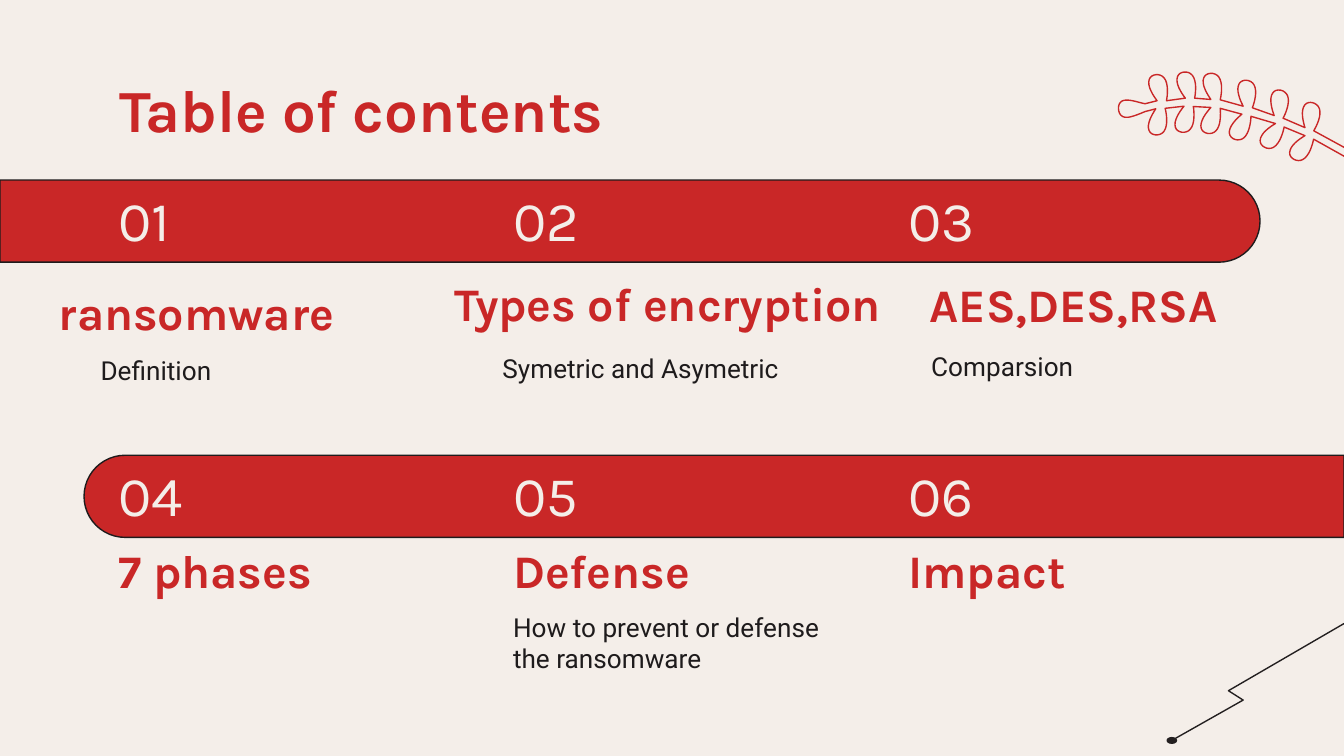
from math import cos, radians, sin

from pptx import Presentation
from pptx.dml.color import RGBColor
from pptx.enum.shapes import MSO_SHAPE
from pptx.enum.text import MSO_ANCHOR
from pptx.util import Pt

CREAM, RED, BLACK, INK = "F4EEE9", "C92727", "1E1B1C", "231F20"
COLS = (56.2, 267.8, 479.5)
BARS = ((0, 96.5, 90), (45, 243.9, 270))
BAR = 675, 44

FLAT = {"margin_top": 0, "margin_bottom": 0, "vertical_anchor": MSO_ANCHOR.BOTTOM}
PAD = {"margin_top": Pt(7.2), "margin_bottom": Pt(7.2)}
MID = PAD | {"vertical_anchor": MSO_ANCHOR.MIDDLE}
STYLES = {
    "title": (MID, {"name": "Karla", "size": Pt(32), "bold": True}, RED),
    "number": (FLAT, {"name": "Karla", "size": Pt(30)}, CREAM),
    "head": (FLAT, {"name": "Karla", "size": Pt(25), "bold": True}, RED),
    "note": (PAD, {"name": "Roboto", "size": Pt(14)}, BLACK),
}
TEXTS = (
    ("title", "Table of contents", 56.9, 35.3, 607, 45.4),
    ("head", "ransomware", 24.5, 151.9, 184.3, 30.2),
    ("head", "Types of encryption", 236.2, 145.4, 247, 31.7),
    ("head", "AES,DES,RSA", 491, 147.6, 184.3, 30.2),
    ("head", "7 phases", COLS[0], 290.2, 184.3, 30.2),
    ("head", "Defense", COLS[1], 290.2, 184.3, 30.2),
    ("head", "Impact", COLS[2], 290.2, 184.3, 30.2),
    ("note", "Definition", 46.8, 182.9, 184.3, 38.2),
    ("note", "Symetric and Asymetric", 262.1, 181.4, 184.3, 38.2),
    ("note", "Comparsion", 491.8, 180.7, 184.3, 38.2),
    ("note", "How to prevent or defense the ransomware", COLS[1], 320.4, 184.3, 38.2),
)

LEAF = ((0, 0), (-2.2, -2.9), (-5.5, -8), (-4.2, -11.5), (-3.2, -14.4),
        (1.6, -15), (3.8, -12.2), (6.2, -9.2), (5.6, -3), (5, 0))
UPPER = ((619.9, 54, 0), (635, 52.6, 0), (648.7, 53.3, 2),
         (666, 56.9, 10), (682.6, 61.9, 17), (699.1, 68.4, 20))
LOWER = ((699.1, 72.7, 22), (683.3, 66.2, 22), (665.3, 61.2, 13),
         (648.7, 57.6, 5), (634.3, 56.9, 2), (619.2, 58.3, -3))
STEM = ((725.8, 82.1), (726.5, 85), (723.6, 85.7))
TIP = ((613.4, 59.8), (607, 62.5), (604, 63.5), (601.5, 62.5), (598.5, 61),
       (598.5, 55.5), (601, 54.2), (604, 52.5), (610, 55), (613.4, 55.6))
BOLT = ((720, 334.1), (658.1, 370.1), (666, 375.1), (627.8, 396.7))


def tint(code):
    """Turn a hex string into a colour."""
    return RGBColor.from_string(code)


def paint(shape, fill, edge):
    """Set fill, outline and shadow of a shape."""
    shape.shadow.inherit = False
    if fill:
        shape.fill.solid()
        shape.fill.fore_color.rgb = tint(fill)
    else:
        shape.fill.background()
    shape.line.color.rgb = tint(edge)
    shape.line.width = Pt(0.75)


def write(slide, style, words, *box):
    """Add a text box in a named style."""
    frame = slide.shapes.add_textbox(*map(Pt, box)).text_frame
    look, face, code = STYLES[style]
    frame.word_wrap = True
    run = frame.paragraphs[0].add_run()
    run.text = words
    for item, values in ((frame, look), (run.font, face)):
        for key, value in values.items():
            setattr(item, key, value)
    run.font.color.rgb = tint(code)


def add_bar(slide, left, top, turn):
    """Add a bar rounded at one end, turned onto its side."""
    long, thick = BAR
    shift = (long - thick) / 2
    box = left + shift, top - shift, thick, long
    bar = slide.shapes.add_shape(MSO_SHAPE.ROUND_2_SAME_RECTANGLE, *map(Pt, box))
    bar.rotation = turn
    bar.adjustments[0], bar.adjustments[1] = 0.5, 0
    paint(bar, RED, BLACK)


def trace(slide, points, fill, edge, close):
    """Add a freeform through the points."""
    dots = [(Pt(x), Pt(y)) for x, y in points]
    pen = slide.shapes.build_freeform(*dots[0])
    pen.add_line_segments(dots[1:], close=close)
    paint(pen.convert_to_shape(), fill, edge)


def curve(knots, steps=8):
    """Sample a chain of cubic curves."""
    dots = [knots[0]]
    for i in range(0, len(knots) - 1, 3):
        for n in range(1, steps + 1):
            t = n / steps
            rates = (1 - t) ** 3, 3 * t * (1 - t) ** 2, 3 * t * t * (1 - t), t ** 3
            dots.append(tuple(sum(r * k[axis] for r, k in zip(rates, knots[i:i + 4]))
                              for axis in (0, 1)))
    return dots


def leaf(left, top, turn, flip=1):
    """Place one leaf, turned about its base."""
    c, s = cos(radians(turn)), sin(radians(turn))
    return [(left + x * c - y * flip * s, top + x * s + y * flip * c)
            for x, y in curve(LEAF)]


def add_twig(slide):
    """Draw the leafy twig as one outline."""
    dots = [dot for base in UPPER for dot in leaf(*base)]
    dots += STEM
    dots += [dot for base in LOWER for dot in reversed(leaf(*base, flip=-1))]
    trace(slide, dots + curve(TIP), CREAM, RED, True)


def add_bolt(slide):
    """Draw the zigzag line and its end dot."""
    trace(slide, BOLT, None, INK, False)
    dot = slide.shapes.add_shape(MSO_SHAPE.OVAL, *map(Pt, (625.3, 395.2, 5, 3)))
    paint(dot, INK, INK)


def main():
    """Build and save the slide."""
    deck = Presentation()
    deck.slide_width, deck.slide_height = Pt(720), Pt(405)
    slide = deck.slides.add_slide(deck.slide_layouts[6])
    slide.background.fill.solid()
    slide.background.fill.fore_color.rgb = tint(CREAM)
    add_twig(slide)
    add_bolt(slide)
    for row, (left, top, turn) in enumerate(BARS):
        add_bar(slide, left, top, turn)
        for col, x in enumerate(COLS):
            write(slide, "number", f"{row * 3 + col + 1:02}", x, top + 4.3, 100, 34.6)
    for item in TEXTS:
        write(slide, *item)
    deck.save("out.pptx")


if __name__ == "__main__":
    main()
